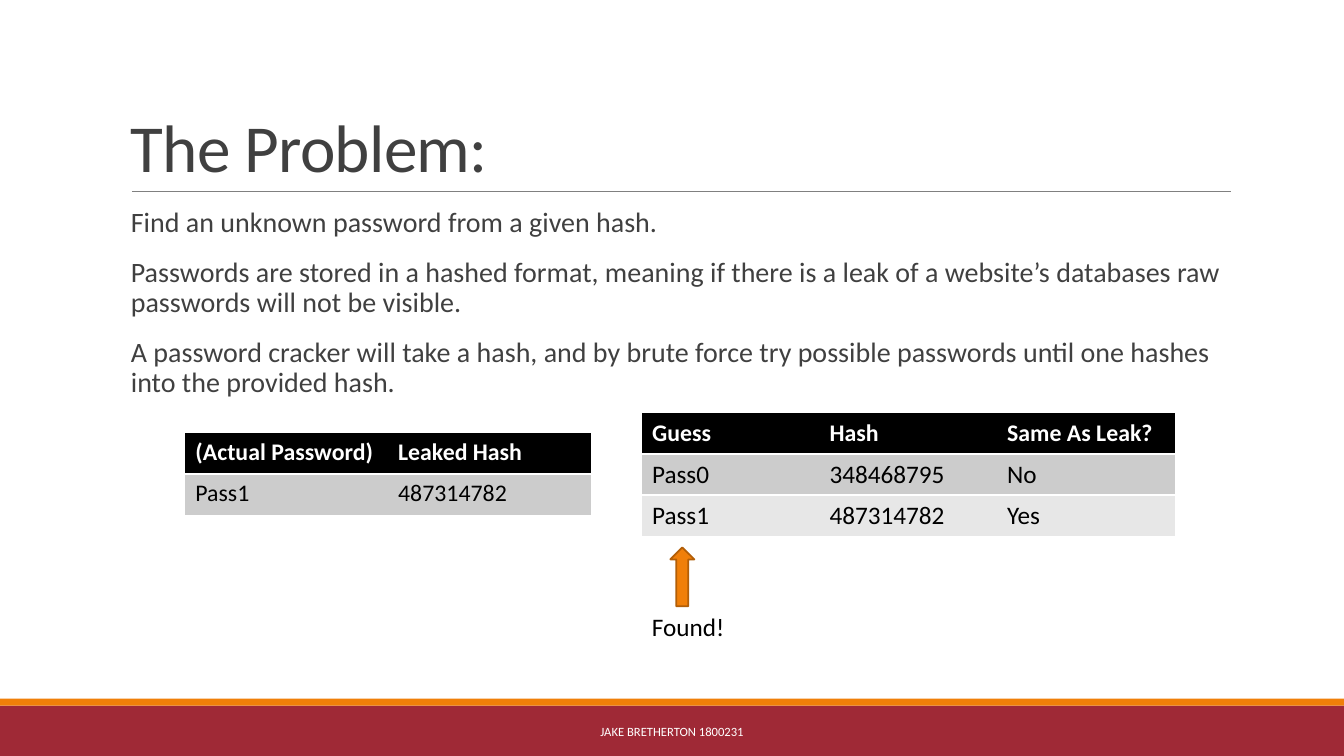
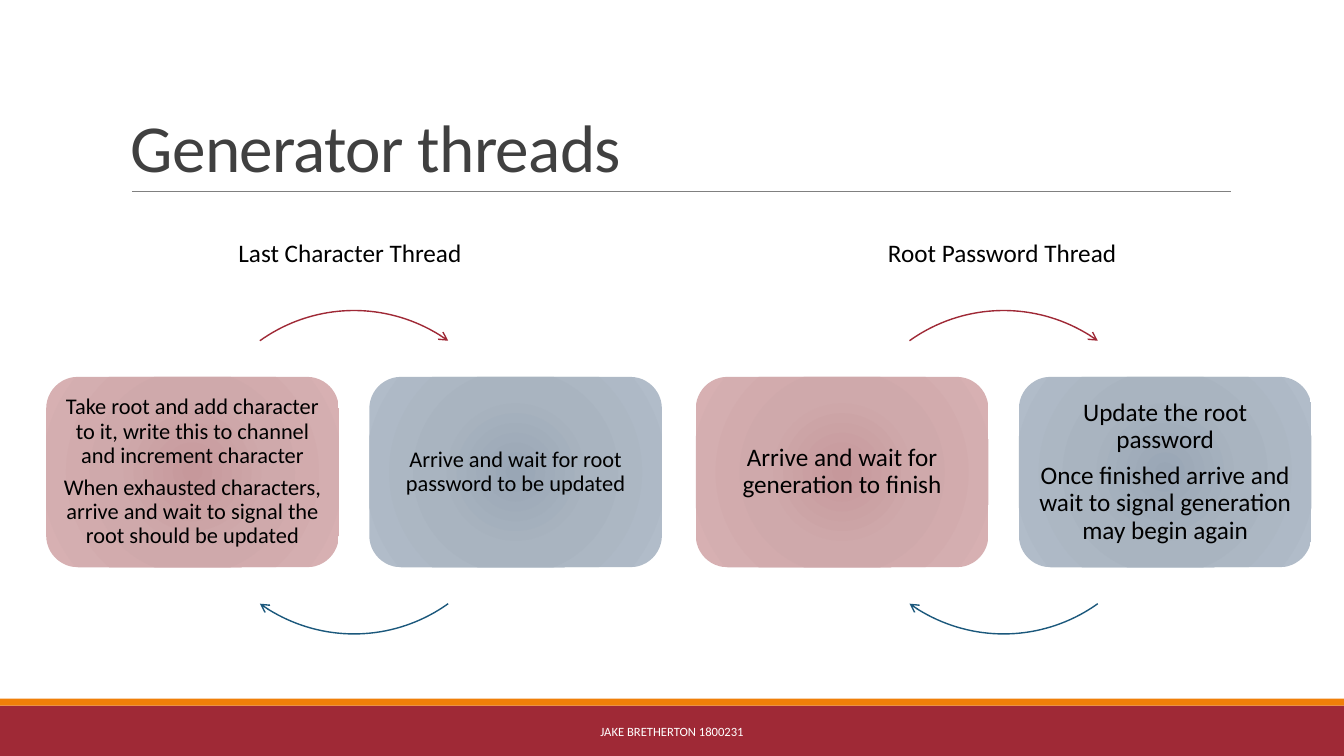
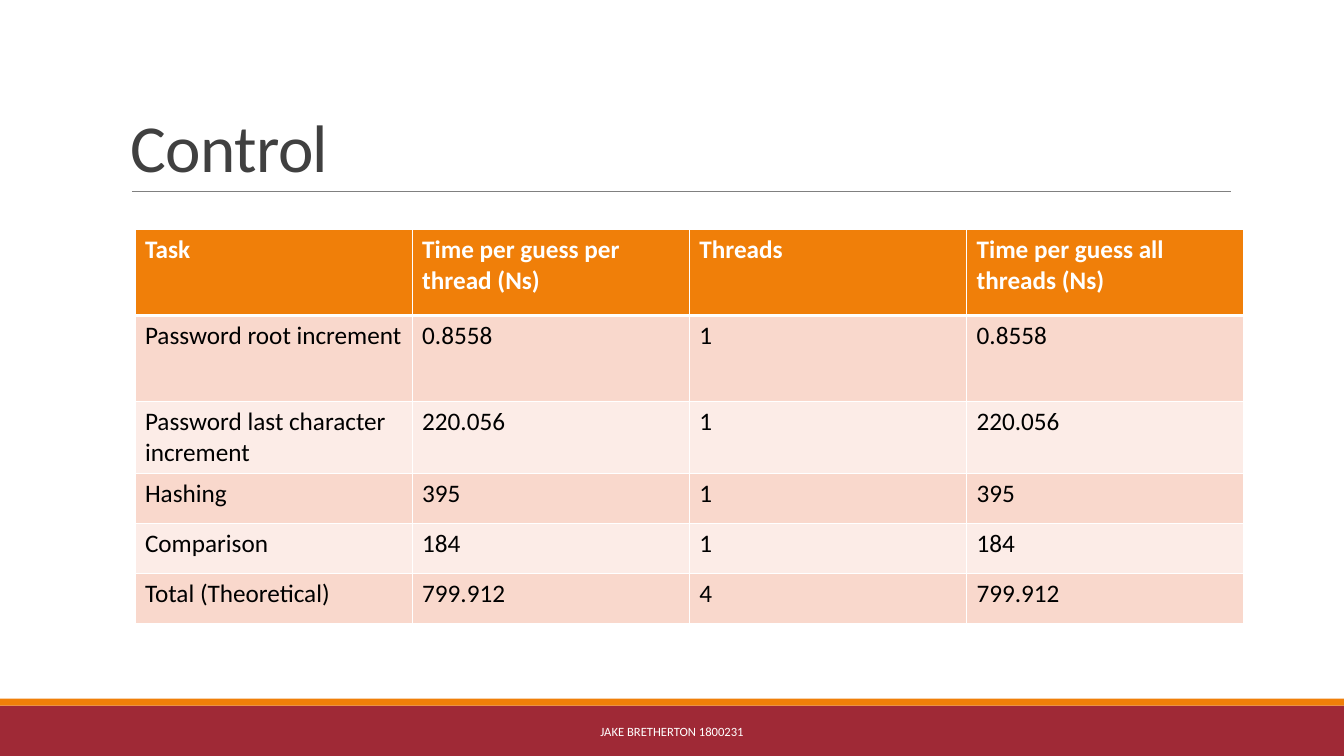
"""Build three slides about a password cracker: problem, threads and control timings."""
from lxml.etree import SubElement
from pptx import Presentation
from pptx.dml.color import RGBColor
from pptx.enum.shapes import MSO_CONNECTOR, MSO_SHAPE
from pptx.enum.text import MSO_ANCHOR, PP_ALIGN
from pptx.oxml import parse_xml
from pptx.oxml.ns import nsdecls, qn
from pptx.util import Pt

FONT = "Calibri"
BLACK = RGBColor(0x00, 0x00, 0x00)
WHITE = RGBColor(0xFF, 0xFF, 0xFF)
DARK = RGBColor(0x40, 0x40, 0x40)
GRAY = RGBColor(0x80, 0x80, 0x80)
RED = RGBColor(0x9F, 0x29, 0x36)
ORANGE = RGBColor(0xF0, 0x7F, 0x09)
BROWN = RGBColor(0xB2, 0x5E, 0x07)
BLUE = RGBColor(0x1B, 0x58, 0x7C)
GRAY_ROWS = (RGBColor(0xCC, 0xCC, 0xCC), RGBColor(0xE7, 0xE7, 0xE7))
PEACH_ROWS = (RGBColor(0xF9, 0xD8, 0xCC), RGBColor(0xFC, 0xEC, 0xE7))
PINK_STOPS = ((0, "C6989B"), (45, "CFA9AB"), (100, "D7B0B2"))
BLUE_STOPS = ((0, "99A6B5"), (45, "A9B4C0"), (100, "B1BCC9"))
NO_STYLE = "{2D5ABB26-0587-4C30-8999-92F81FD0307C}"


def write(tf, text, size, color, align=PP_ALIGN.LEFT, spacing=1.0, before=0, after=0, bold=False):
    tf.word_wrap = True
    tf.text = text
    for p in tf.paragraphs:
        p.alignment = align
        p.line_spacing = spacing
        p.space_before = Pt(before)
        p.space_after = Pt(after)
        for r in p.runs:
            r.font.name = FONT
            r.font.size = Pt(size)
            r.font.bold = bold
            r.font.color.rgb = color


def add_grid(s, left, top, col_width, heights, rows, head_fill, row_fills, sizes, head_rule, grid_rule):
    cols = len(rows[0])
    frame = s.shapes.add_table(len(rows), cols, Pt(left), Pt(top), Pt(col_width * cols), Pt(sum(heights)))
    table = frame.table
    table.first_row = table.horz_banding = False
    table._tbl.tblPr.find(qn("a:tableStyleId")).text = NO_STYLE
    for col in table.columns:
        col.width = Pt(col_width)
    for i, row in enumerate(rows):
        table.rows[i].height = Pt(heights[i])
        rules = {
            "L": grid_rule,
            "R": grid_rule,
            "T": head_rule if i == 1 else grid_rule,
            "B": head_rule if i == 0 else grid_rule,
        }
        for j, text in enumerate(row):
            cell = table.cell(i, j)
            tcPr = cell._tc.get_or_add_tcPr()
            for side, width in rules.items():
                if width:
                    ln = SubElement(tcPr, qn("a:ln" + side), w=str(Pt(width)))
                    fill = SubElement(ln, qn("a:solidFill"))
                    SubElement(fill, qn("a:srgbClr"), val=str(WHITE))
            cell.fill.solid()
            cell.fill.fore_color.rgb = row_fills[(i - 1) % 2] if i else head_fill
            write(cell.text_frame, text, sizes[min(i, 1)], BLACK if i else WHITE, bold=i == 0)


prs = Presentation()
prs.slide_width = Pt(960)
prs.slide_height = Pt(540)

for title in ("The Problem:", "Generator threads", "Control"):
    s = prs.slides.add_slide(prs.slide_layouts[6])
    for top, height, color in ((504, 36, RED), (499, 5, ORANGE)):
        sp = s.shapes.add_shape(MSO_SHAPE.RECTANGLE, 0, Pt(top), Pt(960), Pt(height))
        sp.shadow.inherit = False
        sp.fill.solid()
        sp.fill.fore_color.rgb = color
        sp.line.fill.background()
    rule = s.shapes.add_connector(MSO_CONNECTOR.STRAIGHT, Pt(94.2), Pt(136.8), Pt(879), Pt(136.8))
    rule.line.color.rgb = GRAY
    rule.line.width = Pt(0.5)
    SubElement(rule._element.spPr, qn("a:effectLst"))
    tf = s.shapes.add_textbox(Pt(86.4), Pt(22.4), Pt(792), Pt(114.4)).text_frame
    write(tf, title, 48, DARK, spacing=0.85)
    tf.vertical_anchor = MSO_ANCHOR.BOTTOM
    tf.paragraphs[0].runs[0].font._element.set("spc", "-50")
    tf = s.shapes.add_textbox(Pt(290.4), Pt(508.4), Pt(379.2), Pt(28.8)).text_frame
    write(tf, "JAKE BRETHERTON 1800231", 9, WHITE, PP_ALIGN.CENTER)
    tf.vertical_anchor = MSO_ANCHOR.MIDDLE

problem, threads, control = prs.slides

tf = problem.shapes.add_textbox(Pt(86.4), Pt(145.4), Pt(792), Pt(317)).text_frame
write(
    tf,
    "Find an unknown password from a given hash.\n"
    "Passwords are stored in a hashed format, meaning if there is a leak of a website’s "
    "databases raw passwords will not be visible.\n"
    "A password cracker will take a hash, and by brute force try possible passwords until "
    "one hashes into the provided hash.",
    20, DARK, spacing=0.9, before=12, after=2,
)
tf.margin_right = 0

leak = (("(Actual Password)", "Leaked Hash"), ("Pass1", "487314782"))
guesses = (
    ("Guess", "Hash", "Same As Leak?"),
    ("Pass0", "348468795", "No"),
    ("Pass1", "487314782", "Yes"),
)
add_grid(problem, 132.4, 309.4, 144.8, [29.2] * 2, leak, BLACK, GRAY_ROWS, (17, 17), 2, 0)
add_grid(problem, 458.6, 295.2, 126.8, [29.2] * 3, guesses, BLACK, GRAY_ROWS, (17, 18), 2, 0)

sp = problem.shapes.add_shape(MSO_SHAPE.UP_ARROW, Pt(478.8), Pt(391), Pt(17.2), Pt(42))
sp.shadow.inherit = False
sp.fill.solid()
sp.fill.fore_color.rgb = ORANGE
sp.line.color.rgb = BROWN
sp.line.width = Pt(1.25)
tf = problem.shapes.add_textbox(Pt(458.6), Pt(432.8), Pt(75), Pt(29)).text_frame
write(tf, "Found!", 18, BLACK)

cycles = (
    (33, "Last Character Thread", 16, (
        "Take root and add character to it, write this to channel and increment character\n"
        "When exhausted characters, arrive and wait to signal the root should be updated",
        "Arrive and wait for root password to be updated",
    )),
    (497, "Root Password Thread", 18, (
        "Arrive and wait for generation to finish",
        "Update the root password\n"
        "Once finished arrive and wait to signal generation may begin again",
    )),
)
for left, heading, size, steps in cycles:
    tf = threads.shapes.add_textbox(Pt(left + 130.2), Pt(166.2), Pt(179), Pt(29)).text_frame
    write(tf, heading, 18, BLACK)
    for i, (step, stops) in enumerate(zip(steps, (PINK_STOPS, BLUE_STOPS))):
        sp = threads.shapes.add_shape(
            MSO_SHAPE.ROUNDED_RECTANGLE, Pt(left + 230.8 * i), Pt(269.2), Pt(209), Pt(136)
        )
        marks = "".join(f'<a:gs pos="{pos * 1000}"><a:srgbClr val="{rgb}"/></a:gs>' for pos, rgb in stops)
        sp._element.spPr.append(parse_xml(
            f'<a:gradFill {nsdecls("a")} rotWithShape="1"><a:gsLst>{marks}</a:gsLst><a:path path="circle">'
            '<a:fillToRect l="100000" t="100000" r="100000" b="100000"/></a:path></a:gradFill>'
        ))
        sp.line.fill.background()
        sp.shadow.inherit = False
        tf = sp.text_frame
        write(tf, step, size, BLACK, PP_ALIGN.CENTER, spacing=0.9, after=size * 0.35)
        tf.vertical_anchor = MSO_ANCHOR.MIDDLE
        tf.margin_left = tf.margin_right = tf.margin_top = tf.margin_bottom = Pt(5)
    for start, end, color in ((234.4, 305.6, RED), (54.4, 125.6, BLUE)):
        sp = threads.shapes.add_shape(MSO_SHAPE.ARC, Pt(left + 104.4), Pt(221.8), Pt(231), Pt(231))
        sp.adjustments[0] = start * 0.6
        sp.adjustments[1] = end * 0.6
        sp.shadow.inherit = False
        sp.fill.background()
        sp.line.color.rgb = color
        sp.line.width = Pt(1)
        SubElement(sp.line._get_or_add_ln(), qn("a:tailEnd"), type="arrow")

timings = (
    ("Task", "Time per guess per thread (Ns)", "Threads", "Time per guess all threads (Ns)"),
    ("Password root increment", "0.8558", "1", "0.8558"),
    ("Password last character increment", "220.056", "1", "220.056"),
    ("Hashing", "395", "1", "395"),
    ("Comparison", "184", "1", "184"),
    ("Total (Theoretical)", "799.912", "4", "799.912"),
)
heights = [61.2, 61.2, 51.8, 35.6, 35.6, 35.6]
add_grid(control, 96.4, 164.2, 198, heights, timings, ORANGE, PEACH_ROWS, (18, 18), 3, 1)

prs.save("out.pptx")
